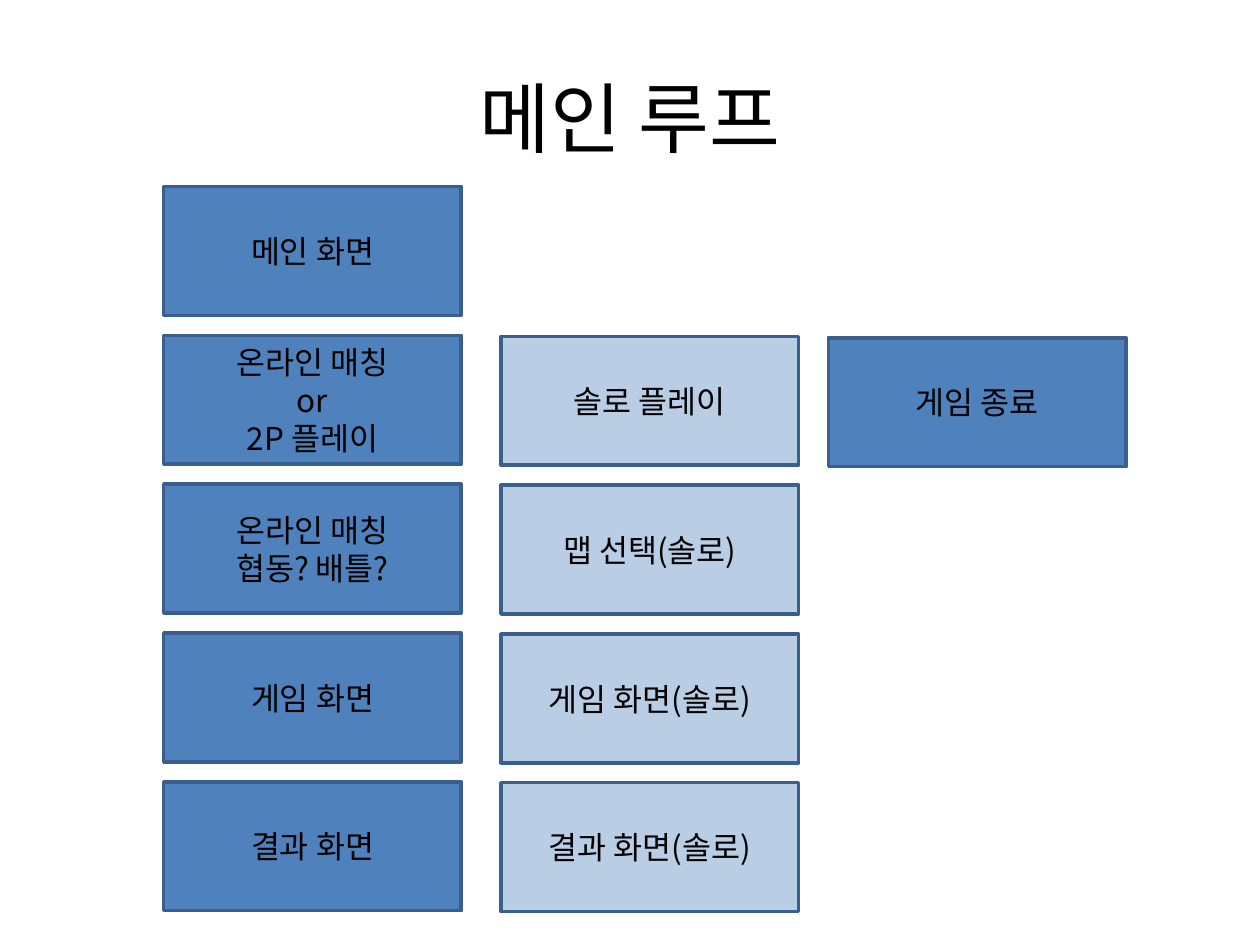
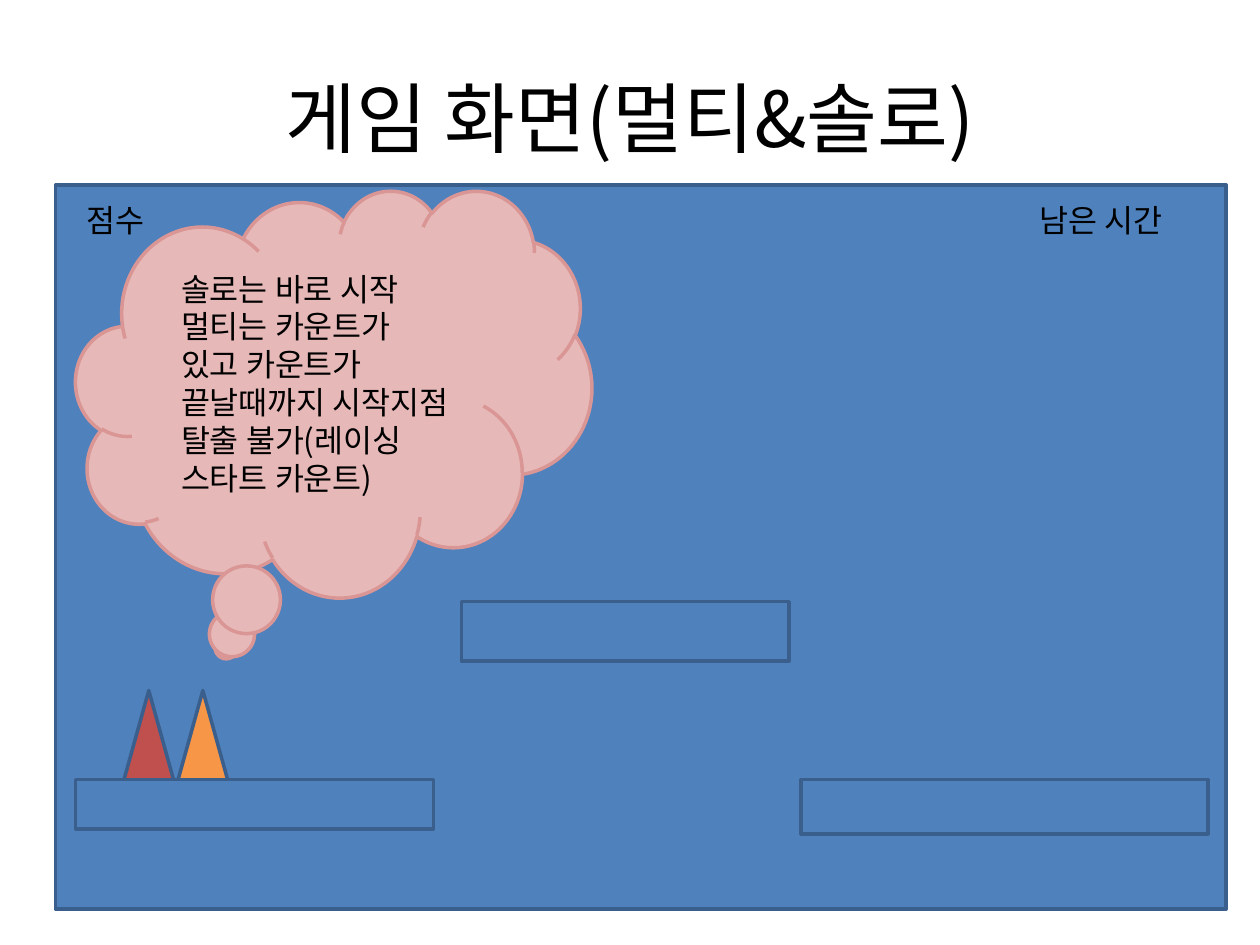
from lxml import etree
from pptx import Presentation
from pptx.dml.color import RGBColor
from pptx.enum.shapes import MSO_SHAPE
from pptx.enum.text import MSO_ANCHOR, PP_ALIGN
from pptx.oxml.ns import qn
from pptx.util import Cm, Pt

RECTANGLE = MSO_SHAPE.RECTANGLE
TRIANGLE = MSO_SHAPE.ISOSCELES_TRIANGLE
CLOUD = MSO_SHAPE.CLOUD_CALLOUT
LEFT, CENTER = PP_ALIGN.LEFT, PP_ALIGN.CENTER
TOP, MIDDLE = MSO_ANCHOR.TOP, MSO_ANCHOR.MIDDLE

BLACK = RGBColor(0x00, 0x00, 0x00)
BLUE = RGBColor(0x4F, 0x81, 0xBD)
LIGHT_BLUE = RGBColor(0xB9, 0xCD, 0xE5)
OUTLINE = RGBColor(0x3A, 0x5F, 0x8C)
RED = RGBColor(0xC0, 0x50, 0x4D)
ORANGE = RGBColor(0xF7, 0x96, 0x46)
PINK = RGBColor(0xE6, 0xB9, 0xB8)
DARK_PINK = RGBColor(0xD9, 0x96, 0x94)

FONT = "Noto Sans CJK KR"


def write_text(frame, text, size=18, color=BLACK, align=LEFT, anchor=TOP):
    """Fill a text frame; each line of text becomes a paragraph."""
    frame.word_wrap = True
    frame.vertical_anchor = anchor
    for index, line in enumerate(text.split("\n")):
        paragraph = frame.add_paragraph() if index else frame.paragraphs[0]
        paragraph.alignment = align
        run = paragraph.add_run()
        run.text = line
        run.font.size = Pt(size)
        run.font.color.rgb = color
        run.font.name = FONT
        # Korean glyphs take the East Asian font
        east_asian = etree.SubElement(run.font._element, qn("a:ea"))
        east_asian.set("typeface", FONT)


class Deck:
    """Holds the shared style and the current slide; lengths are in cm."""

    def __init__(self):
        self.presentation = Presentation()
        self.presentation.slide_width = Cm(25.4)
        self.presentation.slide_height = Cm(19.05)
        self.slide = None

    def add_slide(self, title):
        blank = self.presentation.slide_layouts[6]
        self.slide = self.presentation.slides.add_slide(blank)
        self.add_label(title, 1.27, 0.76, 22.86, 3.18,
                       size=44, align=CENTER, anchor=MIDDLE)

    def add_label(self, text, left, top, width, height, **text_format):
        box = self.slide.shapes.add_textbox(Cm(left), Cm(top), Cm(width), Cm(height))
        write_text(box.text_frame, text, **text_format)

    def add_shape(self, kind, left, top, width, height,
                  fill=BLUE, outline=OUTLINE, text=None):
        shape = self.slide.shapes.add_shape(
            kind, Cm(left), Cm(top), Cm(width), Cm(height))
        shape.shadow.inherit = False
        shape.fill.solid()
        shape.fill.fore_color.rgb = fill
        shape.line.color.rgb = outline
        shape.line.width = Pt(2)
        if text:
            write_text(shape.text_frame, text, align=CENTER, anchor=MIDDLE)


def build_main_loop(deck):
    deck.add_slide("메인 루프")
    # Each column: left edge, top edge, fill, screens from top to bottom
    columns = [
        (3.3, 3.76, BLUE, ["메인 화면", "온라인 매칭\nor\n2P 플레이",
                           "온라인 매칭\n협동? 배틀?", "게임 화면", "결과 화면"]),
        (10.1, 6.78, LIGHT_BLUE, ["솔로 플레이", "맵 선택(솔로)",
                                  "게임 화면(솔로)", "결과 화면(솔로)"]),
        (16.7, 6.81, BLUE, ["게임 종료"]),
    ]
    row_pitch = 3.0
    for left, first_top, fill, screens in columns:
        for row, screen in enumerate(screens):
            deck.add_shape(RECTANGLE, left, first_top + row * row_pitch,
                           6, 2.6, fill=fill, text=screen)


def build_game_screen(deck):
    deck.add_slide("게임 화면(멀티&솔로)")
    # Playing field
    deck.add_shape(RECTANGLE, 1.12, 3.73, 23.6, 14.6)

    # Players
    for left, fill in [(2.5, RED), (3.59, ORANGE)]:
        deck.add_shape(TRIANGLE, left, 13.92, 1, 1.8, fill=fill)

    # Score and remaining time
    for text, left in [("점수", 1.5), ("남은 시간", 20.7)]:
        deck.add_label(text, left, 3.92, 3.81, 1.02)

    # Platforms
    for left, top, width, height in [(1.52, 15.71, 7.22, 1),
                                     (9.3, 12.13, 6.61, 1.2),
                                     (16.15, 15.71, 8.2, 1.1)]:
        deck.add_shape(RECTANGLE, left, top, width, height)

    # Start rule in a thought cloud
    deck.add_shape(CLOUD, 1.53, 3.83, 10.4, 8.2, fill=PINK, outline=DARK_PINK)
    deck.add_label("솔로는 바로 시작\n멀티는 카운트가 있고 카운트가 끝날때까지 "
                   "시작지점 탈출 불가(레이싱 스타트 카운트)",
                   3.4, 5.31, 5.98, 4.88)


def main():
    deck = Deck()
    build_main_loop(deck)
    build_game_screen(deck)
    deck.presentation.save("out.pptx")


if __name__ == "__main__":
    main()
